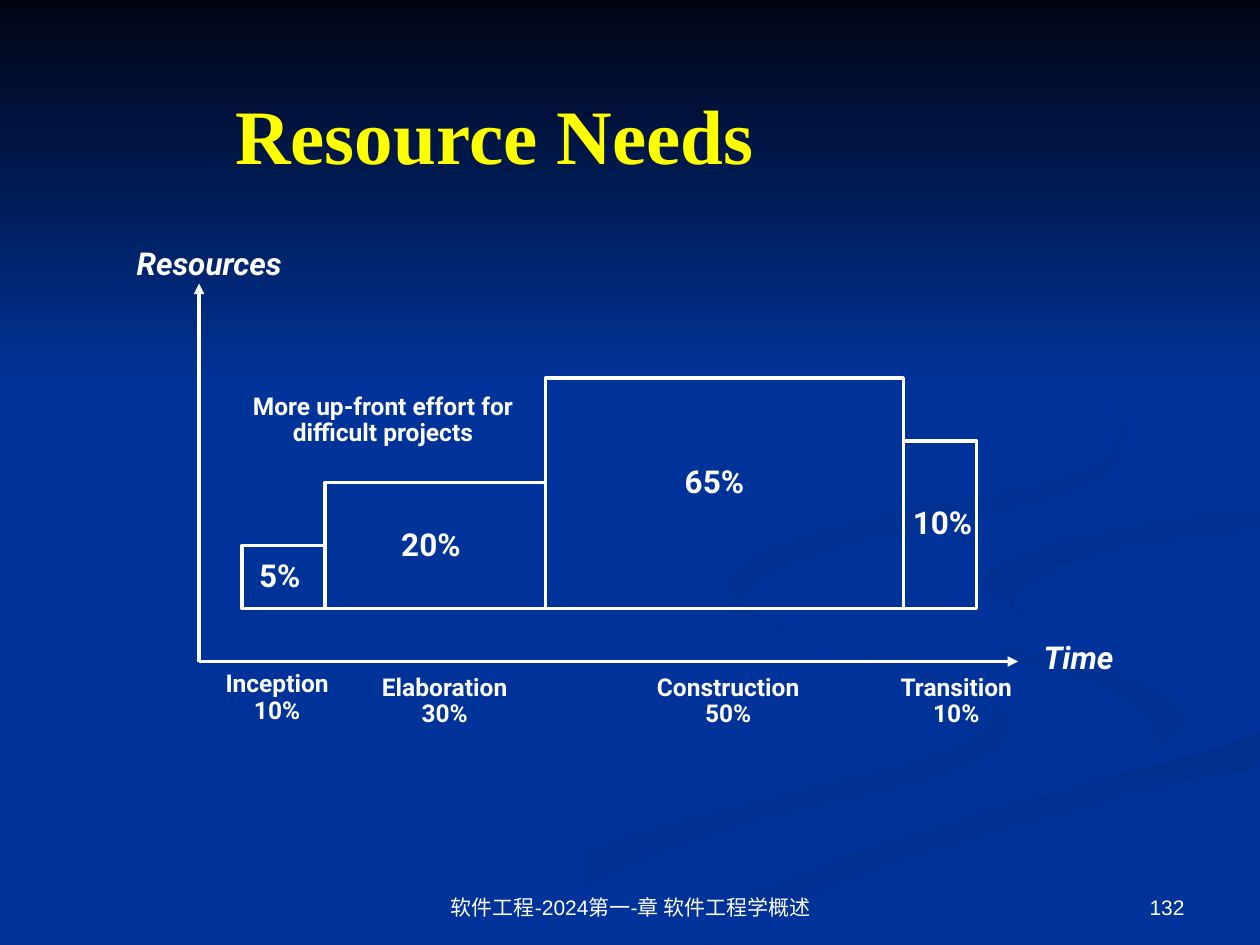
from dataclasses import dataclass

from lxml import etree
from pptx import Presentation
from pptx.dml.color import RGBColor
from pptx.enum import shapes, text
from pptx.oxml.ns import qn
from pptx.util import Inches, Pt


@dataclass(frozen=True)
class Theme:
    back: str = "003399"
    night: str = "000514"
    shade: str = "002F8E"
    faint: str = "003193"
    ink: str = "FFFFFF"
    gold: str = "FFFF00"
    head: str = "Times New Roman"
    body: str = "Roboto"
    foot: str = "Arial"
    big: int = 44
    mid: int = 18
    small: int = 14
    tiny: int = 12
    line: int = 2


T = Theme()
BASE = 4.83  # bottom edge of the bars
START = 1.92  # left edge of the first bar

# name, time share, resource share, right edge, height,
# then centre and top of the resource label and of the phase label
PHASES = [
    ("Inception", "10%", "5%", 2.58, 0.5, (2.22, 4.4), (2.2, 5.28)),
    ("Elaboration", "30%", "20%", 4.33, 1, (3.42, 4.15), (3.53, 5.31)),
    ("Construction", "50%", "65%", 7.17, 1.83, (5.67, 3.65), (5.78, 5.31)),
    ("Transition", "10%", "10%", 7.75, 1.33, (7.48, 3.98), (7.59, 5.31)),
]

# Ribbons: colours, angle, knots of the outline in hundredths of an inch
RIBBONS = [
    ((T.back, T.faint), 0, [
        (781, 553), (682, 519), (594, 485), (575, 459), (586, 487),
        (679, 519), (770, 551), (785, 570), (727, 602), (499, 661),
        (300, 749), (361, 749), (564, 665), (756, 614), (800, 581)]),
    ((T.back, T.faint), 45, [
        (943, 570), (905, 540), (792, 509), (724, 464), (755, 505),
        (880, 549), (917, 585), (894, 605), (932, 589)]),
    ((T.shade, T.back), 90, [
        (503, 749), (571, 749), (695, 692), (903, 630), (998, 609),
        (998, 581), (797, 638), (630, 693)]),
    ((T.back,), 0, [
        (725, 464), (792, 509), (905, 540), (943, 570), (892, 605),
        (663, 668), (477, 749), (503, 749), (630, 693), (797, 638),
        (999, 581), (999, 538), (832, 498), (781, 463), (850, 427),
        (999, 402), (999, 387), (770, 427)]),
    ((T.shade, T.back), 45, [
        (781, 460), (826, 496), (805, 472), (878, 439), (998, 420),
        (998, 402), (849, 427)]),
    ((T.shade, T.back), 45, [
        (762, 233), (846, 279), (889, 335), (842, 378), (649, 420),
        (577, 462), (622, 500), (593, 470), (683, 430), (855, 391),
        (894, 344), (864, 291)]),
]


def rgb(code):
    return RGBColor.from_string(code)


def write(shape, words, size=T.small, font=T.body, color=T.ink, bold=True,
          italic=False, align=text.PP_ALIGN.CENTER, anchor=text.MSO_ANCHOR.TOP,
          wrap=True, space=None):
    """Fill a shape with text, one paragraph a line."""
    frame = shape.text_frame
    frame.text = words
    frame.word_wrap = wrap
    frame.auto_size = text.MSO_AUTO_SIZE.NONE
    frame.vertical_anchor = anchor
    for para in frame.paragraphs:
        para.alignment = align
        para.line_spacing = space
        for run in para.runs:
            face = run.font
            face.size, face.name = Pt(size), font
            face.bold, face.italic = bold, italic
            face.color.rgb = rgb(color)


def add_text(slide, words, left, top, width, height, **style):
    box = slide.shapes.add_textbox(*map(Inches, (left, top, width, height)))
    write(box, words, **style)


def add_label(slide, words, mid, top, height=0.37, size=T.mid, **style):
    """Add an unwrapped label centred on the x position mid."""
    add_text(slide, words, mid - 0.7, top, 1.4, height, size=size,
             wrap=False, space=0.9, **style)


def add_rect(slide, left, top, width, height):
    return slide.shapes.add_shape(
        shapes.MSO_SHAPE.RECTANGLE, *map(Inches, (left, top, width, height)))


def paint(shape, colors, angle):
    """Fill without outline; two colours make a gradient, angle clockwise."""
    shape.shadow.inherit = False
    shape.line.fill.background()
    fill = shape.fill
    if len(colors) == 1:
        fill.solid()
        fill.fore_color.rgb = rgb(colors[0])
        return
    fill.gradient()
    fill.gradient_angle = (360 - angle) % 360
    for stop, code in zip(fill.gradient_stops, colors):
        stop.color.rgb = rgb(code)


def curve(knots, steps=5):
    """Run a closed Catmull-Rom curve through the knots, kept on the slide."""
    points = []
    for i in range(len(knots)):
        near = [knots[(i + k) % len(knots)] for k in (-1, 0, 1, 2)]
        for step in range(steps):
            t = step / steps
            x, y = (b + t / 2 * (c - a + t * (2 * a - 5 * b + 4 * c - d
                                              + t * (3 * (b - c) + d - a)))
                    for a, b, c, d in zip(*near))
            points.append((min(round(x), 1000), min(round(y), 750)))
    return points


def add_ribbon(slide, colors, angle, knots):
    points = curve(knots)
    pen = slide.shapes.build_freeform(*points[0], scale=Inches(0.01))
    pen.add_line_segments(points[1:], close=True)
    paint(pen.convert_to_shape(), colors, angle)


def add_bar(slide, left, right, height):
    bar = add_rect(slide, left, BASE - height, right - left, height)
    bar.shadow.inherit = False
    bar.fill.background()
    bar.line.color.rgb = rgb(T.ink)
    bar.line.width = Pt(T.line)


def add_axis(slide, start, end):
    axis = slide.shapes.add_connector(
        shapes.MSO_CONNECTOR.STRAIGHT, *map(Inches, (*start, *end)))
    axis.line.color.rgb = rgb(T.ink)
    axis.line.width = Pt(T.line)
    props = axis._element.spPr
    etree.SubElement(props.find(qn("a:ln")), qn("a:tailEnd"), type="triangle")
    etree.SubElement(props, qn("a:effectLst"))


def add_title(slide, words):
    title = slide.shapes.title
    title.left, title.top, title.width, title.height = map(
        Inches, (0.76, 0.91, 6.33, 0.57))
    write(title, words, size=T.big, font=T.head, color=T.gold,
          anchor=text.MSO_ANCHOR.BOTTOM)
    slide.shapes._spTree.append(title._element)  # bring to front


def main():
    deck = Presentation()
    deck.slide_width, deck.slide_height = Inches(10), Inches(7.5)
    slide = deck.slides.add_slide(deck.slide_layouts[5])
    slide.background.fill.solid()
    slide.background.fill.fore_color.rgb = rgb(T.back)
    for ribbon in RIBBONS:
        add_ribbon(slide, *ribbon)
    paint(add_rect(slide, 0, 0, 10, 3.08), (T.night, T.back), 90)

    foot = dict(size=T.tiny, font=T.foot, bold=False, anchor=text.MSO_ANCHOR.BOTTOM)
    add_text(slide, "132", 7.17, 6.83, 2.33, 0.52, align=text.PP_ALIGN.RIGHT, **foot)
    add_text(slide, "软件工程-2024第一-章 软件工程学概述", 3.42, 6.83, 3.17, 0.52, **foot)

    left = START
    for name, time, share, right, height, inner, outer in PHASES:
        add_bar(slide, left, right, height)
        add_label(slide, share, *inner)
        add_label(slide, f"{name}\n{time}", *outer, height=0.52, size=T.small)
        left = right

    for tip in ((1.58, 2.25), (8.08, 5.25)):
        add_axis(slide, (1.58, 5.25), tip)
    add_label(slide, "Resources", 1.66, 1.92, italic=True)
    add_label(slide, "Time", 8.56, 5.05, italic=True)
    add_text(slide, "More up-front effort for difficult projects",
             1.75, 3.08, 2.58, 0.52, space=0.9)
    add_title(slide, "Resource Needs")
    deck.save("out.pptx")


if __name__ == "__main__":
    main()
